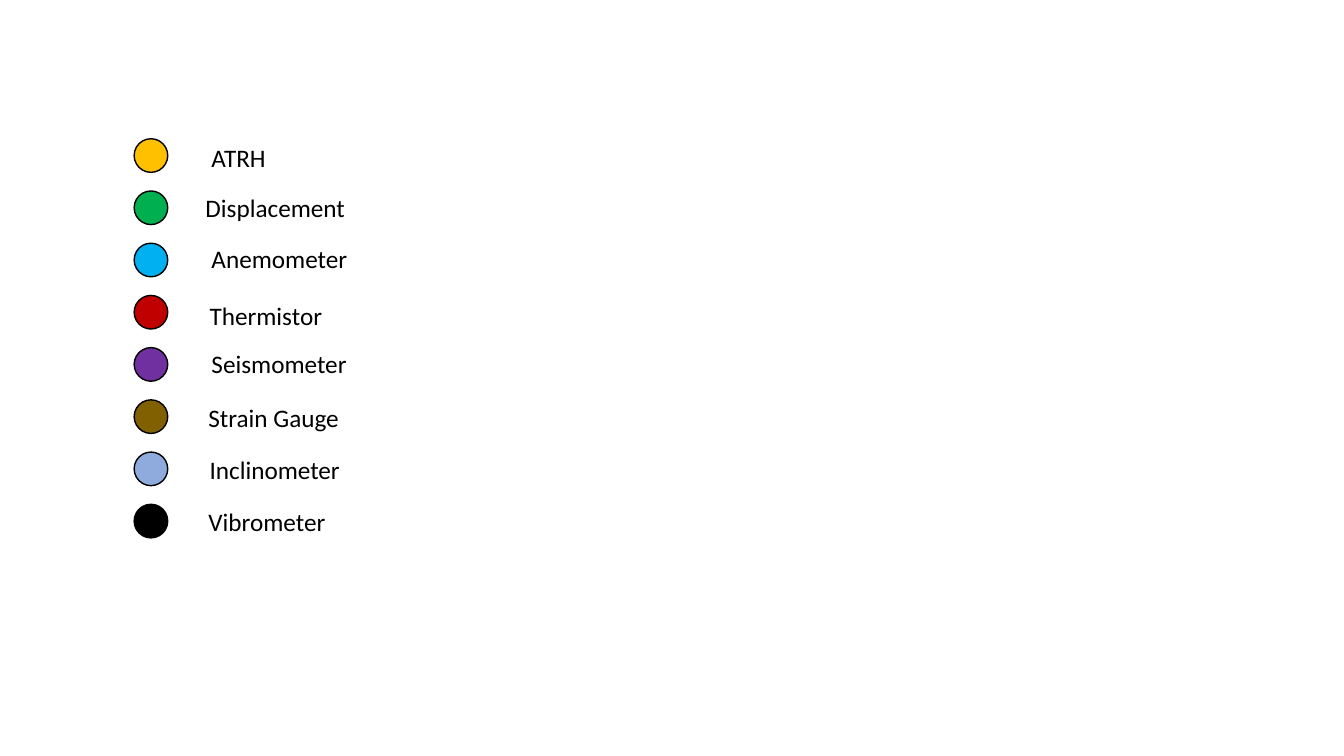
import pptx
import pptx.dml.color
import pptx.enum.shapes
import pptx.enum.text
import pptx.util

Pt = pptx.util.Pt


def color(code):
    return pptx.dml.color.RGBColor.from_string(code)


deck = pptx.Presentation()
deck.slide_width, deck.slide_height = Pt(960), Pt(540)
slide = deck.slides.add_slide(deck.slide_layouts[6])

# Sensor name, marker fill, then left, top and width of its label
sensors = [
    ("ATRH", "FFC000", 144, 97.9, 53.3),
    ("Displacement", "00B050", 139.7, 133.9, 115.2),
    ("Anemometer", "00B0F0", 144, 169.9, 112.3),
    ("Thermistor", "C00000", 142.6, 211, 95.8),
    ("Seismometer", "7030A0", 144, 245.5, 112.3),
    ("Strain Gauge", "806000", 141.8, 283.7, 108.7),
    ("Inclinometer", "8FAADC", 142.6, 321.1, 108.7),
    ("Vibrometer", "000000", 141.8, 357.8, 99.4),
]
first, step, size = 99.1, 37.3, 24

for row, (name, fill, left, top, width) in enumerate(sensors):
    dot = slide.shapes.add_shape(
        pptx.enum.shapes.MSO_SHAPE.OVAL,
        Pt(95.8), Pt(first + row * step), Pt(size), Pt(size))
    dot.shadow.inherit = False
    dot.fill.solid()
    dot.fill.fore_color.rgb = color(fill)
    dot.line.color.rgb = color("000000")
    dot.line.width = Pt(1)

    label = slide.shapes.add_textbox(Pt(left), Pt(top), Pt(width), Pt(29.1))
    frame = label.text_frame
    frame.word_wrap = False
    frame.auto_size = pptx.enum.text.MSO_AUTO_SIZE.SHAPE_TO_FIT_TEXT
    line = frame.paragraphs[0]
    line.text = name
    line.font.name = "Calibri"
    line.font.size = Pt(18)
    line.font.color.rgb = color("000000")

deck.save("out.pptx")
